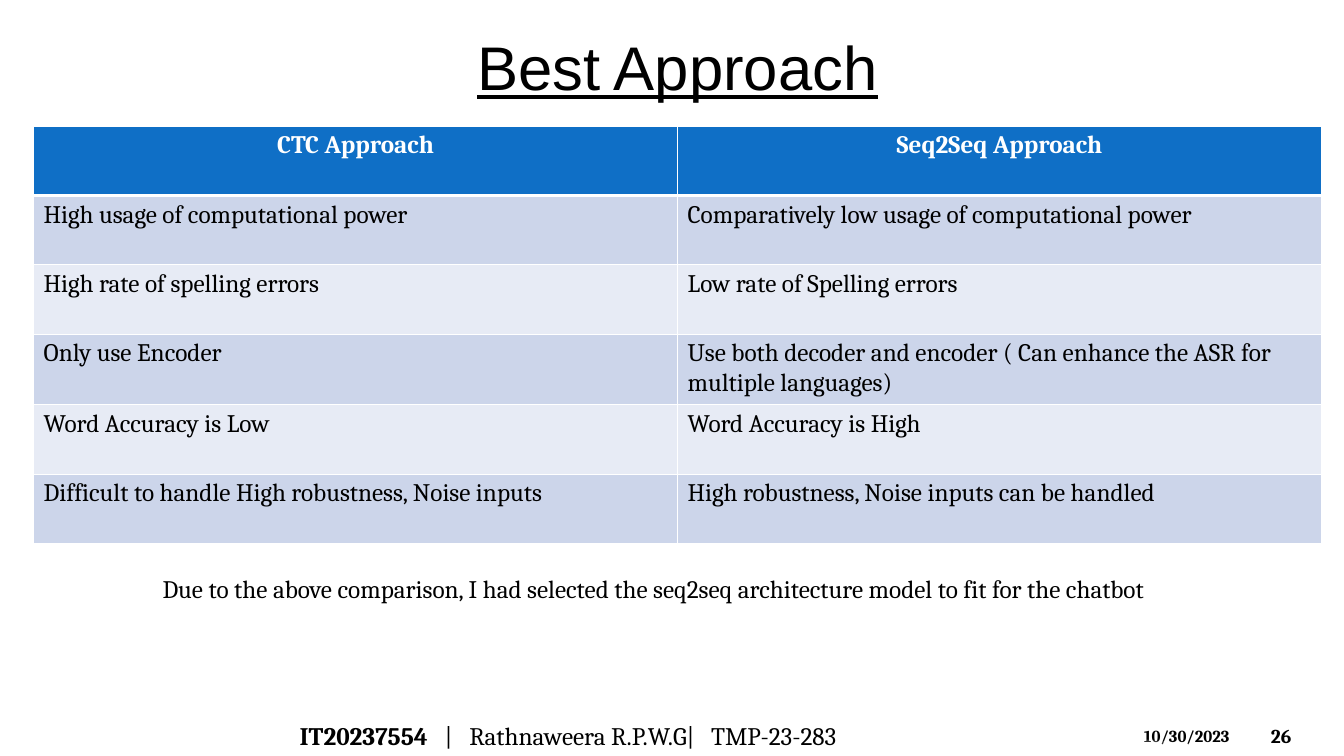
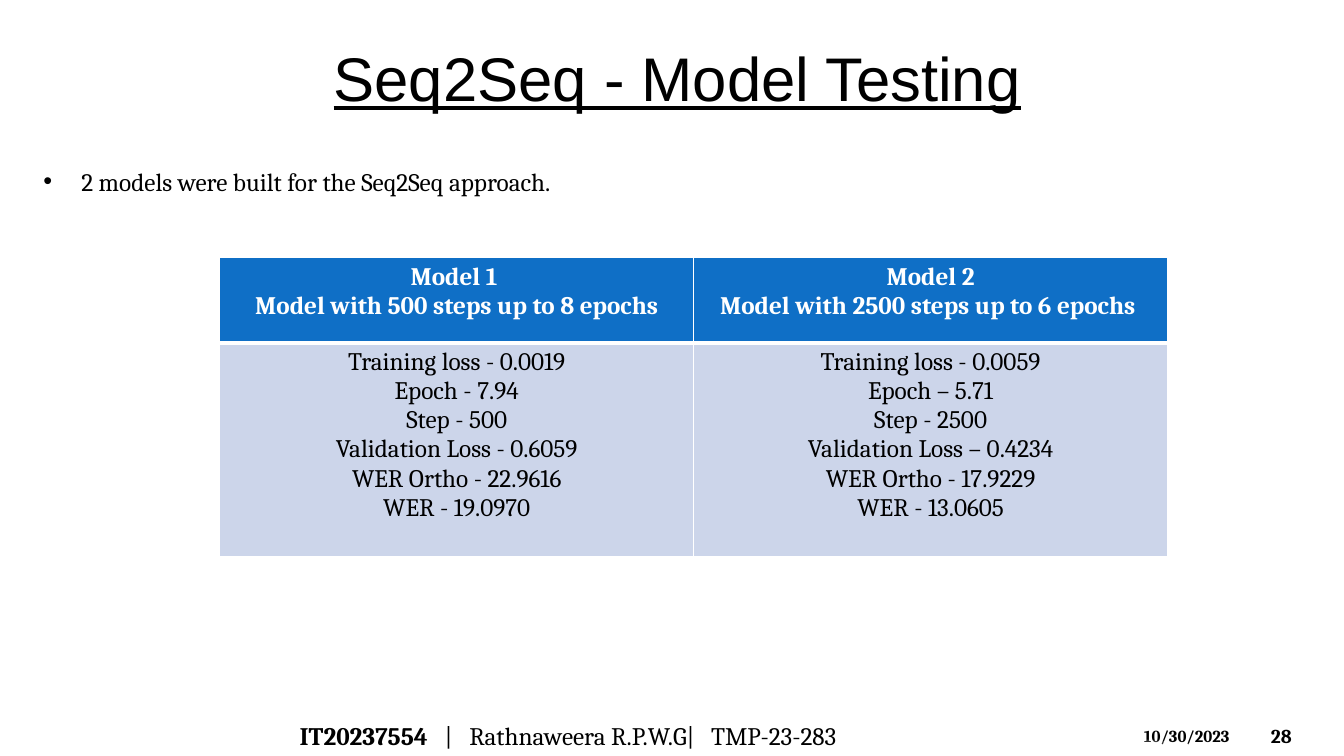
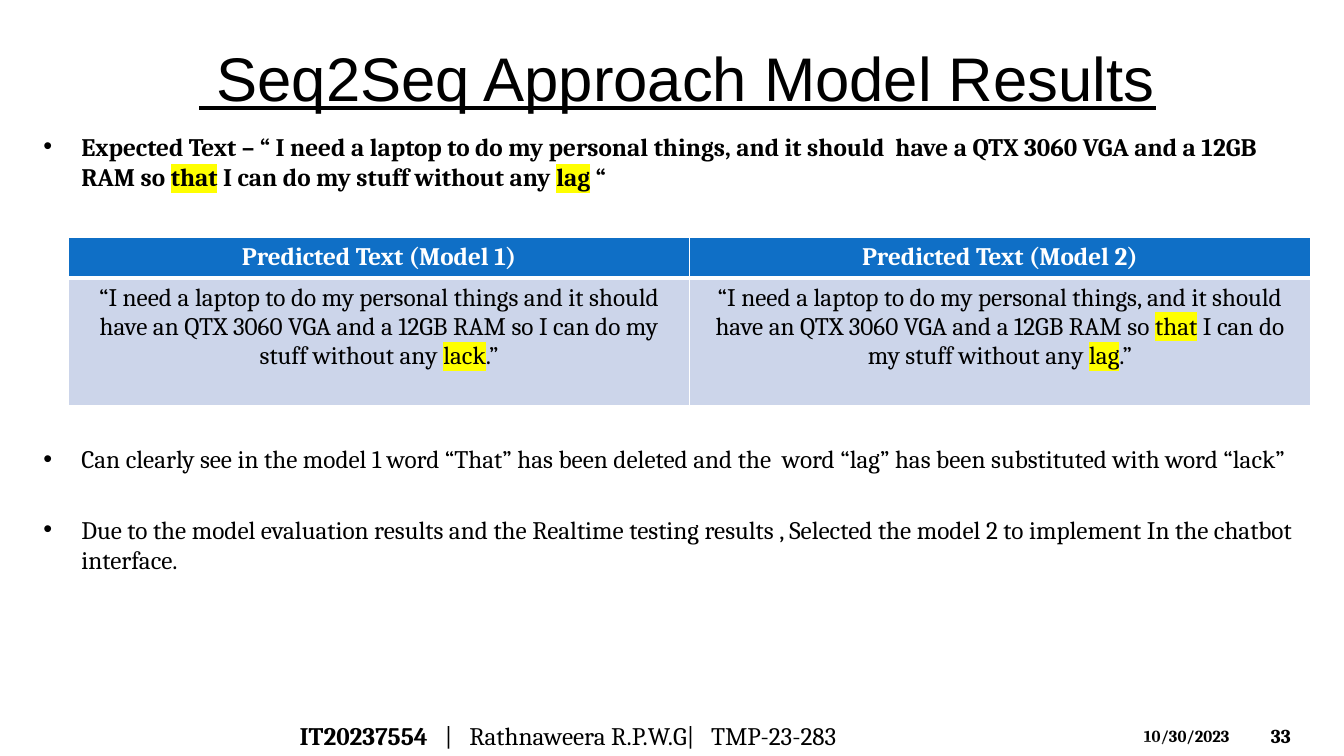
from dataclasses import dataclass

import lxml.etree as etree
import pptx
import pptx.dml.color
import pptx.enum.shapes
import pptx.enum.text
import pptx.oxml.ns
import pptx.util

Pt = pptx.util.Pt
qn = pptx.oxml.ns.qn
RGB = pptx.dml.color.RGBColor.from_string
ALIGN = pptx.enum.text.PP_ALIGN
ANCHOR = pptx.enum.text.MSO_ANCHOR
TRIANGLE = pptx.enum.shapes.MSO_SHAPE.ISOSCELES_TRIANGLE


@dataclass(frozen=True)
class Theme:
    ink: str = "000000"
    paper: str = "FFFFFF"
    header: str = "0F6FC6"
    bands: tuple[str, str] = ("CCD5EA", "E7EBF5")
    marker: str = "FFFF00"
    title_font: str = "Arial"
    text_font: str = "Cambria"
    title_size: float = 44
    text_size: float = 18
    number_size: float = 14
    date_size: float = 12
    grid_line: float = 1
    header_line: float = 3
    peak_opacity: int = 20


THEME = Theme()


@dataclass(frozen=True)
class Box:
    """Position and size in points."""
    left: float
    top: float
    width: float
    height: float


@dataclass(frozen=True)
class Style:
    size: float = THEME.text_size
    bold: bool = False
    color: str = THEME.ink
    font: str = THEME.text_font
    underline: bool = False


@dataclass(frozen=True)
class Peak:
    """A translucent footer triangle with its apex at a share of the width."""
    top: float
    height: float
    apex: float


@dataclass(frozen=True)
class Comparison:
    """A table whose first row is the header; * encloses marked words."""
    left: float
    top: float
    width: float
    row_heights: list[float]
    rows: list[tuple[str, str]]
    body_align: ALIGN = ALIGN.CENTER


BODY = Style()
STRONG = Style(bold=True)
HEADING = Style(bold=True, color=THEME.paper)
TITLE = Style(THEME.title_size, font=THEME.title_font, underline=True)

SLIDE_WIDTH, SLIDE_HEIGHT = 960, 540
MARGIN, CONTENT_WIDTH = 24, 920
BULLET_INDENT = 27
FOOTER_TABS = (103.5, 121.2, 293.8)
FOOTER_PEAKS = (Peak(510.5, 29.5, 0.63), Peak(525.5, 14.5, 0.39))


# Text
def mark(run) -> None:
    """Highlight a run that already has its colour."""
    highlight = etree.Element(qn("a:highlight"))
    etree.SubElement(highlight, qn("a:srgbClr"), val=THEME.marker)
    run.font._element.find(qn("a:solidFill")).addnext(highlight)


def format_run(run, style: Style) -> None:
    run.font.size = Pt(style.size)
    run.font.bold = style.bold
    run.font.underline = style.underline
    run.font.name = style.font
    run.font.color.rgb = RGB(style.color)


def write(frame, text: str, style: Style, align: ALIGN = ALIGN.LEFT) -> None:
    """Fill a frame line by line, highlighting the words between asterisks."""
    frame.text = text
    for paragraph in frame.paragraphs:
        paragraph.alignment = align
        first, *rest = paragraph.text.split("*")
        paragraph.text = first
        for piece in rest:
            paragraph.add_run().text = piece
        for position, run in enumerate(paragraph.runs):
            format_run(run, style)
            if position % 2:
                mark(run)


def add_text(slide, box: Box, text: str, style: Style = BODY,
             align: ALIGN = ALIGN.LEFT, anchor: ANCHOR = ANCHOR.TOP):
    frame = slide.shapes.add_textbox(
        Pt(box.left), Pt(box.top), Pt(box.width), Pt(box.height)).text_frame
    frame.word_wrap = True
    frame.vertical_anchor = anchor
    write(frame, text, style, align)
    return frame


def add_bullets(slide, top: float, height: float, text: str,
                style: Style = BODY, gap: float = 0) -> None:
    frame = add_text(slide, Box(MARGIN, top, CONTENT_WIDTH, height), text, style)
    for position, paragraph in enumerate(frame.paragraphs):
        properties = paragraph._p.get_or_add_pPr()
        properties.set("marL", str(Pt(BULLET_INDENT)))
        properties.set("indent", str(-Pt(BULLET_INDENT)))
        etree.SubElement(properties, qn("a:buFont"), typeface="Arial")
        etree.SubElement(properties, qn("a:buChar"), char="•")
        if position:
            paragraph.space_before = Pt(gap)


# Tables
def set_borders(cell, row: int) -> None:
    widths = {
        "lnL": THEME.grid_line,
        "lnR": THEME.grid_line,
        "lnT": THEME.header_line if row == 1 else THEME.grid_line,
        "lnB": THEME.header_line if row == 0 else THEME.grid_line,
    }
    properties = cell._tc.get_or_add_tcPr()
    for side, width in widths.items():
        line = etree.SubElement(properties, qn(f"a:{side}"), w=str(Pt(width)))
        fill = etree.SubElement(line, qn("a:solidFill"))
        etree.SubElement(fill, qn("a:srgbClr"), val=THEME.paper)


def add_comparison(slide, comparison: Comparison) -> None:
    rows, heights = comparison.rows, comparison.row_heights
    table = slide.shapes.add_table(
        len(rows), len(rows[0]), Pt(comparison.left), Pt(comparison.top),
        Pt(comparison.width), Pt(sum(heights))).table
    table.horz_banding = False
    for row, (texts, height) in enumerate(zip(rows, heights)):
        table.rows[row].height = Pt(height)
        for column, text in enumerate(texts):
            cell = table.cell(row, column)
            set_borders(cell, row)
            cell.fill.solid()
            if row == 0:
                cell.fill.fore_color.rgb = RGB(THEME.header)
                write(cell.text_frame, text, HEADING, ALIGN.CENTER)
            else:
                cell.fill.fore_color.rgb = RGB(THEME.bands[(row - 1) % 2])
                write(cell.text_frame, text, BODY, comparison.body_align)


# Shared slide frame
def add_peak(slide, peak: Peak) -> None:
    triangle = slide.shapes.add_shape(
        TRIANGLE, 0, Pt(peak.top), Pt(SLIDE_WIDTH), Pt(peak.height))
    triangle.adjustments[0] = peak.apex
    triangle.shadow.inherit = False
    triangle.line.fill.background()
    triangle.fill.solid()
    triangle.fill.fore_color.rgb = RGB(THEME.paper)
    color = triangle._element.spPr.find(qn("a:solidFill"))[0]
    etree.SubElement(color, qn("a:alpha"), val=str(THEME.peak_opacity * 1000))


def add_footer(slide, number: int) -> None:
    add_text(slide, Box(900.7, 511, 53, 29), str(number),
             Style(THEME.number_size, bold=True), anchor=ANCHOR.MIDDLE)
    add_text(slide, Box(810, 515, 84, 22), "10/30/2023",
             Style(THEME.date_size, bold=True))
    for peak in FOOTER_PEAKS:
        add_peak(slide, peak)

    frame = add_text(slide, Box(207, 511, 536, 29), "IT20237554", STRONG,
                     anchor=ANCHOR.MIDDLE)
    paragraph = frame.paragraphs[0]
    tabs = etree.SubElement(paragraph._p.get_or_add_pPr(), qn("a:tabLst"))
    for stop in FOOTER_TABS:
        etree.SubElement(tabs, qn("a:tab"), pos=str(Pt(stop)), algn="l")
    author = paragraph.add_run()
    author.text = "\t|\tRathnaweera R.P.W.G|\tTMP-23-283"
    format_run(author, BODY)


def add_slide(deck, title: str, number: int, title_top: float = 23.5,
              title_height: float = 62.5):
    slide = deck.slides.add_slide(deck.slide_layouts[6])
    add_footer(slide, number)
    add_text(slide, Box(MARGIN, title_top, CONTENT_WIDTH, title_height),
             title, TITLE, ALIGN.CENTER, ANCHOR.MIDDLE)
    return slide


# Slides
def best_approach(deck) -> None:
    slide = add_slide(deck, "Best Approach", 26, 12.7, 68.5)
    rows = [
        ("CTC Approach", "Seq2Seq Approach"),
        ("High usage of computational power",
         "Comparatively low usage of computational power"),
        ("High rate of spelling errors", "Low rate of Spelling errors"),
        ("Only use Encoder",
         "Use both decoder and encoder ( Can enhance the ASR for multiple languages)"),
        ("Word Accuracy is Low", "Word Accuracy is High"),
        ("Difficult to handle High robustness, Noise inputs",
         "High robustness, Noise inputs can be handled"),
    ]
    add_comparison(slide, Comparison(MARGIN, 90, CONTENT_WIDTH, [49.6] * len(rows),
                                     rows, ALIGN.LEFT))
    add_text(slide, Box(109, 406, 760, 29),
             "Due to the above comparison, I had selected the seq2seq "
             "architecture model to fit for the chatbot")


def model_testing(deck) -> None:
    slide = add_slide(deck, "Seq2Seq - Model Testing", 28)
    add_bullets(slide, 115, 29, "2 models were built for the Seq2Seq approach.")
    add_comparison(slide, Comparison(157, 184.2, 677, [60.8, 152.8], [
        ("Model 1 \nModel with 500 steps up to 8 epochs",
         "Model 2\nModel with 2500 steps up to 6 epochs "),
        ("Training loss - 0.0019\nEpoch - 7.94\nStep - 500\n"
         "Validation Loss - 0.6059\nWER Ortho - 22.9616\nWER - 19.0970",
         "Training loss - 0.0059\nEpoch – 5.71\nStep - 2500\n"
         "Validation Loss – 0.4234\nWER Ortho - 17.9229\nWER - 13.0605"),
    ]))


def model_results(deck) -> None:
    slide = add_slide(deck, " Seq2Seq Approach Model Results", 33)
    add_bullets(slide, 90, 50,
                "Expected Text – “ I need a laptop to do my personal things, and it "
                "should  have a QTX 3060 VGA and a 12GB RAM so *that* I can do my "
                "stuff without any *lag* “", STRONG)
    add_comparison(slide, Comparison(49, 169.5, 887, [29.3, 90.7], [
        ("Predicted Text (Model 1)", "Predicted Text (Model 2)"),
        ("“I need a laptop to do my personal things and it should have an QTX 3060 "
         "VGA and a 12GB RAM so I can do my stuff without any *lack*.”",
         "“I need a laptop to do my personal things, and it should have an QTX 3060 "
         "VGA and a 12GB RAM so *that* I can do my stuff without any *lag*.”"),
    ]))
    add_bullets(slide, 313, 101,
                "Can clearly see in the model 1 word “That” has been deleted and "
                "the  word “lag” has been substituted with word “lack”\n"
                "Due to the model evaluation results and the Realtime testing "
                "results , Selected the model 2 to implement In the chatbot "
                "interface.", gap=29)


def main() -> None:
    deck = pptx.Presentation()
    deck.slide_width, deck.slide_height = Pt(SLIDE_WIDTH), Pt(SLIDE_HEIGHT)
    for build in (best_approach, model_testing, model_results):
        build(deck)
    deck.save("out.pptx")


if __name__ == "__main__":
    main()
